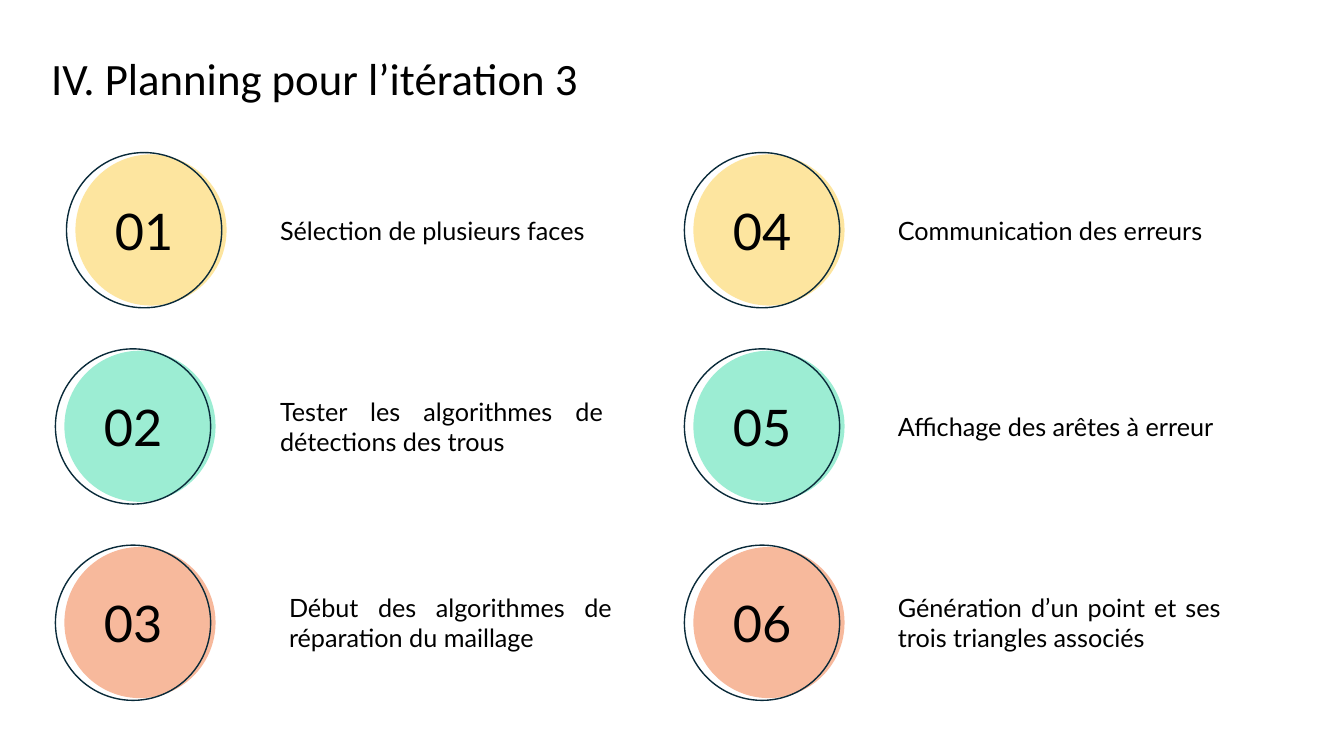
from lxml.etree import SubElement
from pptx import Presentation
from pptx.dml.color import RGBColor
from pptx.enum.shapes import MSO_SHAPE
from pptx.enum.text import MSO_ANCHOR, MSO_AUTO_SIZE, PP_ALIGN
from pptx.oxml.ns import qn
from pptx.util import Pt

COLORS = {
    "text": "000000",
    "ring": "092A39",
    "yellow": "FCBD0A",
    "green": "00D18E",
    "orange": "EB4B00",
}
ROW_COLORS = ["yellow", "green", "orange"]
ROW_TOP, ROW_PITCH = 109, 140.2
DISC_SIZE, RING_SIZE = 108, 110.9
DISC_OFFSET_X, DISC_OFFSET_Y = 6.4, 1.3
TASK_WIDTH = 244.8
LINE_HEIGHTS = {1: 29.1, 2: 50.9}
TASKS = [
    ("Sélection de plusieurs faces", 1, 47.5, 193),
    ("Tester les algorithmes de détections des trous", 2, 39.6, 193),
    ("Début des algorithmes de réparation du maillage", 2, 39.6, 199.4),
    ("Communication des erreurs", 1, 488.9, 634.3),
    ("Affichage des arêtes à erreur", 1, 488.9, 634.3),
    ("Génération d’un point et ses trois triangles associés", 2, 488.9, 634.3),
]


def color(name):
    """Return the named colour."""
    return RGBColor.from_string(COLORS[name])


def write(frame, text, size, font_name, alignment):
    """Write one run of text into the first paragraph of a frame."""
    frame.word_wrap = True
    paragraph = frame.paragraphs[0]
    paragraph.alignment = alignment
    run = paragraph.add_run()
    run.text = text
    run.font.size = Pt(size)
    run.font.name = font_name
    run.font.color.rgb = color("text")


def add_text(slide, box, text, size, font_name, alignment):
    """Add a text box that grows with its text."""
    shape = slide.shapes.add_textbox(*map(Pt, box))
    write(shape.text_frame, text, size, font_name, alignment)
    shape.text_frame.auto_size = MSO_AUTO_SIZE.SHAPE_TO_FIT_TEXT


def add_circle(slide, left, top, size):
    """Add a circle without shadow."""
    shape = slide.shapes.add_shape(MSO_SHAPE.OVAL, Pt(left), Pt(top), Pt(size), Pt(size))
    shape.shadow.inherit = False
    return shape


def add_disc(slide, left, top, color_name):
    """Add a translucent coloured disc."""
    disc = add_circle(slide, left, top, DISC_SIZE)
    disc.fill.solid()
    disc.fill.fore_color.rgb = color(color_name)
    disc.line.fill.background()
    fill_color = next(disc.element.iter(qn("a:srgbClr")))
    SubElement(fill_color, qn("a:alpha")).set("val", "39000")


def add_ring(slide, left, top, number):
    """Add an outlined circle holding a two-digit number."""
    ring = add_circle(slide, left, top, RING_SIZE)
    ring.fill.background()
    ring.line.color.rgb = color("ring")
    ring.line.width = Pt(1)
    ring.text_frame.vertical_anchor = MSO_ANCHOR.MIDDLE
    write(ring.text_frame, f"{number:02}", 36, "Lato", PP_ALIGN.CENTER)


def main():
    """Build the planning slide."""
    presentation = Presentation()
    presentation.slide_width, presentation.slide_height = Pt(960), Pt(540)
    slide = presentation.slides.add_slide(presentation.slide_layouts[6])
    add_text(slide, (29.5, 32.4, 900.7, 46), "IV. Planning pour l’itération 3",
             32, "Calibri", PP_ALIGN.LEFT)
    for index, (text, lines, ring_left, text_left) in enumerate(TASKS):
        row = index % len(ROW_COLORS)
        top = ROW_TOP + row * ROW_PITCH
        height = LINE_HEIGHTS[lines]
        text_top = top + (RING_SIZE - height) / 2
        add_disc(slide, ring_left + DISC_OFFSET_X, top + DISC_OFFSET_Y, ROW_COLORS[row])
        add_ring(slide, ring_left, top, index + 1)
        add_text(slide, (text_left, text_top, TASK_WIDTH, height), text,
                 18, "Lato", PP_ALIGN.JUSTIFY)
    presentation.save("out.pptx")


if __name__ == "__main__":
    main()
